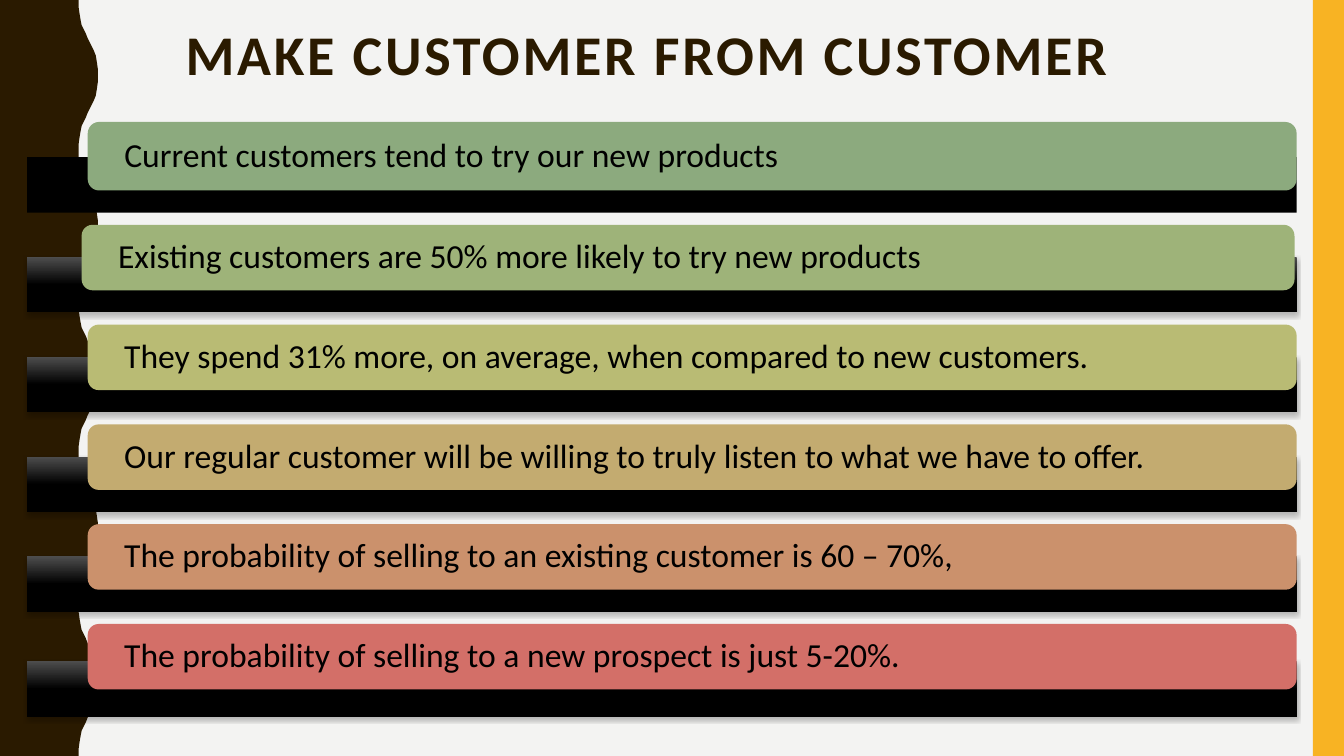
"""Build the customer retention slide with six stacked statement cards."""
from dataclasses import dataclass

from lxml import etree
from pptx import Presentation
from pptx import util as u
from pptx.dml.color import RGBColor
from pptx.enum import shapes, text
from pptx.oxml import ns

BROWN = RGBColor(0x2A, 0x1A, 0x00)
AMBER = RGBColor(0xF8, 0xB3, 0x23)
PAPER = RGBColor(0xF3, 0xF3, 0xF2)
BLACK = RGBColor(0x00, 0x00, 0x00)
GREY = RGBColor(0x4D, 0x4D, 0x4D)
FONT = "Calibri"

PITCH = 0.99
BAR_TOP = 1.56
CARD_BOTTOM = 1.89

WAVE_PERIOD = 150
WAVE_COUNT = 5
HALF_WAVE = [(78, 0), (78, 7), (79, 14), (80, 20), (81, 25), (83, 29), (85, 33),
             (87, 38), (89, 42), (91, 46), (93, 50), (95, 55), (96, 61), (97, 68), (97, 75)]


@dataclass
class Card:
    """One statement card and the bar behind it."""

    label: str
    color: RGBColor
    left: float = 0.87
    width: float = 11.99
    height: float = 0.65
    bar_nudge: float = 0.0
    glossy: bool = True


CARDS = [
    Card("Current customers tend to try our new products",
         RGBColor(0x8C, 0xAA, 0x7E), height=0.68, glossy=False),
    Card("Existing customers are 50% more likely to try new products",
         RGBColor(0x9E, 0xB3, 0x79), left=0.81, width=12.03),
    Card("They spend 31% more, on average, when compared to new customers.",
         RGBColor(0xB9, 0xBB, 0x74)),
    Card("Our regular customer will be willing to truly listen to what we have to offer.",
         RGBColor(0xC3, 0xAB, 0x70)),
    Card("The probability of selling to an existing customer is 60 – 70%,",
         RGBColor(0xCB, 0x91, 0x6C)),
    Card("The probability of selling to a new prospect is just 5-20%.",
         RGBColor(0xD3, 0x6F, 0x68), bar_nudge=0.05),
]


def add_box(s, kind, left: float, top: float, width: float, height: float, color: RGBColor):
    """Add a flat preset shape without outline."""
    sp = s.shapes.add_shape(kind, u.Inches(left), u.Inches(top), u.Inches(width), u.Inches(height))
    sp.shadow.inherit = False
    sp.fill.solid()
    sp.fill.fore_color.rgb = color
    sp.line.fill.background()
    return sp


def add_wave(s) -> None:
    """Draw the wavy band on the left edge."""
    wave = HALF_WAVE + [(x, WAVE_PERIOD - y) for x, y in HALF_WAVE[-2::-1]]
    points = [(x, y + i * WAVE_PERIOD) for i in range(WAVE_COUNT) for x, y in wave]
    builder = s.shapes.build_freeform(0, 0, scale=u.Inches(0.01))
    builder.add_line_segments(points + [(0, WAVE_COUNT * WAVE_PERIOD)], close=True)
    sp = builder.convert_to_shape()
    sp.shadow.inherit = False
    sp.fill.solid()
    sp.fill.fore_color.rgb = BROWN
    sp.line.fill.background()


def add_gloss(sp) -> None:
    """Give a bar its vertical gradient and soft lower shadow."""
    sp.fill.gradient()
    sp.fill.gradient_angle = 270
    for stop, position, color in zip(sp.fill.gradient_stops, (0, 0.5), (GREY, BLACK)):
        stop.position = position
        stop.color.rgb = color
    effects = sp.element.spPr.find(ns.qn("a:effectLst"))
    shadow = etree.SubElement(effects, ns.qn("a:outerShdw"), blurRad=str(u.Pt(3)),
                              dist=str(u.Pt(2)), dir="5400000", rotWithShape="0")
    color = etree.SubElement(shadow, ns.qn("a:srgbClr"), val=str(BLACK))
    etree.SubElement(color, ns.qn("a:alpha"), val="25000")


def style_text(tf, size: float, color: RGBColor, bold: bool):
    """Format a one-line text frame and return its run."""
    tf.word_wrap = True
    tf.auto_size = text.MSO_AUTO_SIZE.NONE
    tf.vertical_anchor = text.MSO_ANCHOR.MIDDLE
    p = tf.paragraphs[0]
    p.alignment = text.PP_ALIGN.LEFT
    p.line_spacing = 0.9
    r = p.runs[0]
    r.font.name = FONT
    r.font.size = u.Pt(size)
    r.font.bold = bold
    r.font.color.rgb = color
    return r


def add_title(s) -> None:
    """Place and format the slide title."""
    sp = s.shapes.title
    sp.left, sp.top = u.Inches(1.74), u.Inches(0.22)
    sp.width, sp.height = u.Inches(10.83), u.Inches(0.69)
    sp.text_frame.text = "MAKE CUSTOMER FROM CUSTOMER"
    r = style_text(sp.text_frame, 40, BROWN, True)
    r.font._element.set("spc", "200")


def add_card(s, index: int, card: Card) -> None:
    """Draw one bar with its labelled card on top."""
    offset = index * PITCH
    bar = add_box(s, shapes.MSO_SHAPE.RECTANGLE, 0.27, BAR_TOP + offset + card.bar_nudge,
                  12.59, 0.55, BLACK)
    if card.glossy:
        add_gloss(bar)
    sp = add_box(s, shapes.MSO_SHAPE.ROUNDED_RECTANGLE, card.left,
                 CARD_BOTTOM + offset - card.height, card.width, card.height, card.color)
    tf = sp.text_frame
    tf.margin_left = tf.margin_right = u.Inches(0.33)
    tf.margin_top = tf.margin_bottom = 0
    tf.text = card.label
    style_text(tf, 24, BLACK, False)


def main() -> None:
    """Build and save the presentation."""
    prs = Presentation()
    prs.slide_width, prs.slide_height = u.Inches(13.33), u.Inches(7.5)
    s = prs.slides.add_slide(prs.slide_layouts[5])
    s.background.fill.solid()
    s.background.fill.fore_color.rgb = PAPER
    add_wave(s)
    add_box(s, shapes.MSO_SHAPE.RECTANGLE, 13.02, 0, 0.31, 7.5, AMBER)
    add_title(s)
    for index, card in enumerate(CARDS):
        add_card(s, index, card)
    prs.save("out.pptx")


if __name__ == "__main__":
    main()
